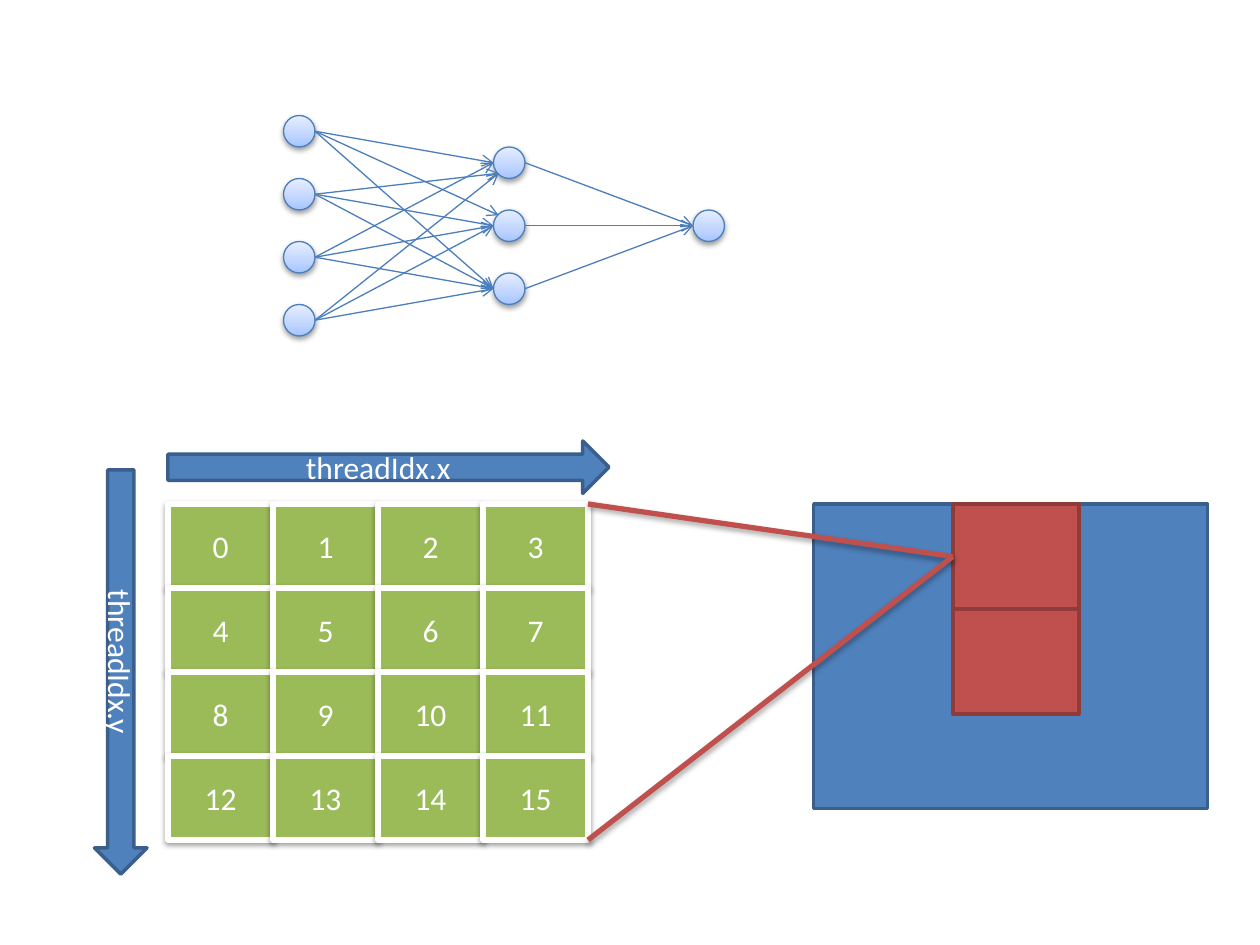
from copy import deepcopy
from dataclasses import dataclass
from itertools import product
from typing import Optional

from lxml import etree
from pptx import Presentation
from pptx.dml.color import RGBColor
from pptx.enum.shapes import MSO_CONNECTOR, MSO_SHAPE
from pptx.enum.text import MSO_ANCHOR, PP_ALIGN
from pptx.oxml.ns import qn
from pptx.util import Pt

EMU_PER_PX = 9525
OVAL = MSO_SHAPE.OVAL
RECTANGLE = MSO_SHAPE.RECTANGLE
RIGHT_ARROW = MSO_SHAPE.RIGHT_ARROW
STRAIGHT = MSO_CONNECTOR.STRAIGHT
MIDDLE = MSO_ANCHOR.MIDDLE
CENTER = PP_ALIGN.CENTER

FONT = "Calibri"
WHITE = "FFFFFF"
BLUE = "4F81BD"
DARK_BLUE = "3A5F8C"
NODE_BLUE = "4B7EBC"
GREEN = "9BBB59"
RED = "C0504D"
DARK_RED = "8E3B39"
NODE_GRADIENT = ((0, "A4C4FF"), (35, "BFD4FF"), (100, "E6EEFF"))

NODE_SIZE = 24
NODE_GAP = 48
CELL_WIDTH, CELL_HEIGHT = 80, 64
GRID_LEFT, GRID_TOP, GRID_COUNT = 128, 384, 4


@dataclass(frozen=True)
class Shadow:
    alpha: int
    distance: int
    blur: int = 40000


@dataclass(frozen=True)
class Box:
    left: int
    top: int
    width: int
    height: int
    fill: str
    line: str
    line_width: float = 2
    kind: int = RECTANGLE
    text: str = ""
    rotation: int = 0
    shadow: Optional[Shadow] = None


@dataclass(frozen=True)
class Link:
    start: tuple[int, int]
    end: tuple[int, int]
    color: str = NODE_BLUE
    width: float = 0.75
    arrow: bool = True
    shadow: Optional[Shadow] = None


@dataclass(frozen=True)
class Layer:
    left: int
    top: int
    count: int

    def node_top(self, index: int) -> int:
        return self.top + index * NODE_GAP

    def entry(self, index: int) -> tuple[int, int]:
        return self.left, self.node_top(index) + NODE_SIZE // 2

    def exit(self, index: int) -> tuple[int, int]:
        return self.left + NODE_SIZE, self.node_top(index) + NODE_SIZE // 2


SOFT_SHADOW = Shadow(38, 20000)
LINK_SHADOW = Shadow(35, 23000)
LAYERS = (Layer(216, 88, 4), Layer(376, 112, 3), Layer(528, 160, 1))
CORNER_ENTRIES = {(0, 1): (380, 164), (1, 0): (380, 132), (3, 0): (380, 132)}


def px(length: int) -> int:
    return length * EMU_PER_PX


def rgb(color: str) -> RGBColor:
    return RGBColor.from_string(color)


def set_line(line, color: str, width: float) -> None:
    line.color.rgb = rgb(color)
    line.width = Pt(width)


def set_shadow(properties, shadow: Optional[Shadow]) -> None:
    effects = etree.SubElement(properties, qn("a:effectLst"))
    if shadow:
        outer = etree.SubElement(
            effects, qn("a:outerShdw"), blurRad=str(shadow.blur),
            dist=str(shadow.distance), dir="5400000", rotWithShape="0")
        color = etree.SubElement(outer, qn("a:srgbClr"), val="000000")
        etree.SubElement(color, qn("a:alpha"), val=str(shadow.alpha * 1000))


def set_node_gradient(fill) -> None:
    fill.gradient()
    fill.gradient_angle = 90
    first = fill.gradient_stops[0]._gs
    first.addnext(deepcopy(first))
    for stop, (position, color) in zip(fill.gradient_stops, NODE_GRADIENT):
        stop.position = position / 100
        stop.color.rgb = rgb(color)


def add_text(shape, text: str) -> None:
    frame = shape.text_frame
    frame.vertical_anchor = MIDDLE
    para = frame.paragraphs[0]
    para.alignment = CENTER
    span = para.add_run()
    span.text = text
    span.font.name = FONT
    span.font.size = Pt(18)
    span.font.color.rgb = rgb(WHITE)


def add_box(page, box: Box):
    shape = page.shapes.add_shape(
        box.kind, px(box.left), px(box.top), px(box.width), px(box.height))
    shape.rotation = box.rotation
    shape.fill.solid()
    shape.fill.fore_color.rgb = rgb(box.fill)
    set_line(shape.line, box.line, box.line_width)
    set_shadow(shape._element.spPr, box.shadow)
    if box.text:
        add_text(shape, box.text)
    return shape


def add_link(page, link: Link) -> None:
    connector = page.shapes.add_connector(
        STRAIGHT, *map(px, link.start), *map(px, link.end))
    set_line(connector.line, link.color, link.width)
    properties = connector._element.spPr
    if link.arrow:
        etree.SubElement(properties.find(qn("a:ln")), qn("a:tailEnd"), type="arrow")
    set_shadow(properties, link.shadow)


def add_network(page) -> None:
    for layer in LAYERS:
        for index in range(layer.count):
            node = add_box(page, Box(
                layer.left, layer.node_top(index), NODE_SIZE, NODE_SIZE,
                BLUE, NODE_BLUE, 0.75, OVAL, shadow=SOFT_SHADOW))
            set_node_gradient(node.fill)
    inputs, hidden, output = LAYERS
    for source, target in product(range(inputs.count), range(hidden.count)):
        end = CORNER_ENTRIES.get((source, target), hidden.entry(target))
        add_link(page, Link(inputs.exit(source), end))
    for source in range(hidden.count):
        add_link(page, Link(hidden.exit(source), output.entry(0)))


def add_thread_grid(page) -> None:
    for row, column in product(range(GRID_COUNT), repeat=2):
        add_box(page, Box(
            GRID_LEFT + column * CELL_WIDTH, GRID_TOP + row * CELL_HEIGHT,
            CELL_WIDTH, CELL_HEIGHT, GREEN, WHITE, 3,
            text=str(row * GRID_COUNT + column), shadow=SOFT_SHADOW))
    add_box(page, Box(128, 336, 336, 40, BLUE, DARK_BLUE,
                      kind=RIGHT_ARROW, text="threadIdx.x "))
    vertical = add_box(page, Box(-62, 492, 308, 40, BLUE, DARK_BLUE,
                                 kind=RIGHT_ARROW, text="threadIdx.y ", rotation=90))
    frame = vertical.text_frame
    frame.word_wrap = False
    frame.margin_top = frame.margin_bottom = 0


def add_block_map(page) -> None:
    add_box(page, Box(620, GRID_TOP, 300, 232, BLUE, DARK_BLUE))
    for top in (464, GRID_TOP):
        add_box(page, Box(726, top, 96, 80, RED, DARK_RED))
    grid_right = GRID_LEFT + GRID_COUNT * CELL_WIDTH
    for corner_y in (GRID_TOP, GRID_TOP + GRID_COUNT * CELL_HEIGHT):
        add_link(page, Link((726, 424), (grid_right, corner_y), RED, 3, False, LINK_SHADOW))


def main() -> None:
    deck = Presentation()
    deck.slide_width, deck.slide_height = px(960), px(720)
    page = deck.slides.add_slide(deck.slide_layouts[6])
    add_network(page)
    add_thread_grid(page)
    add_block_map(page)
    deck.save("out.pptx")


if __name__ == "__main__":
    main()
